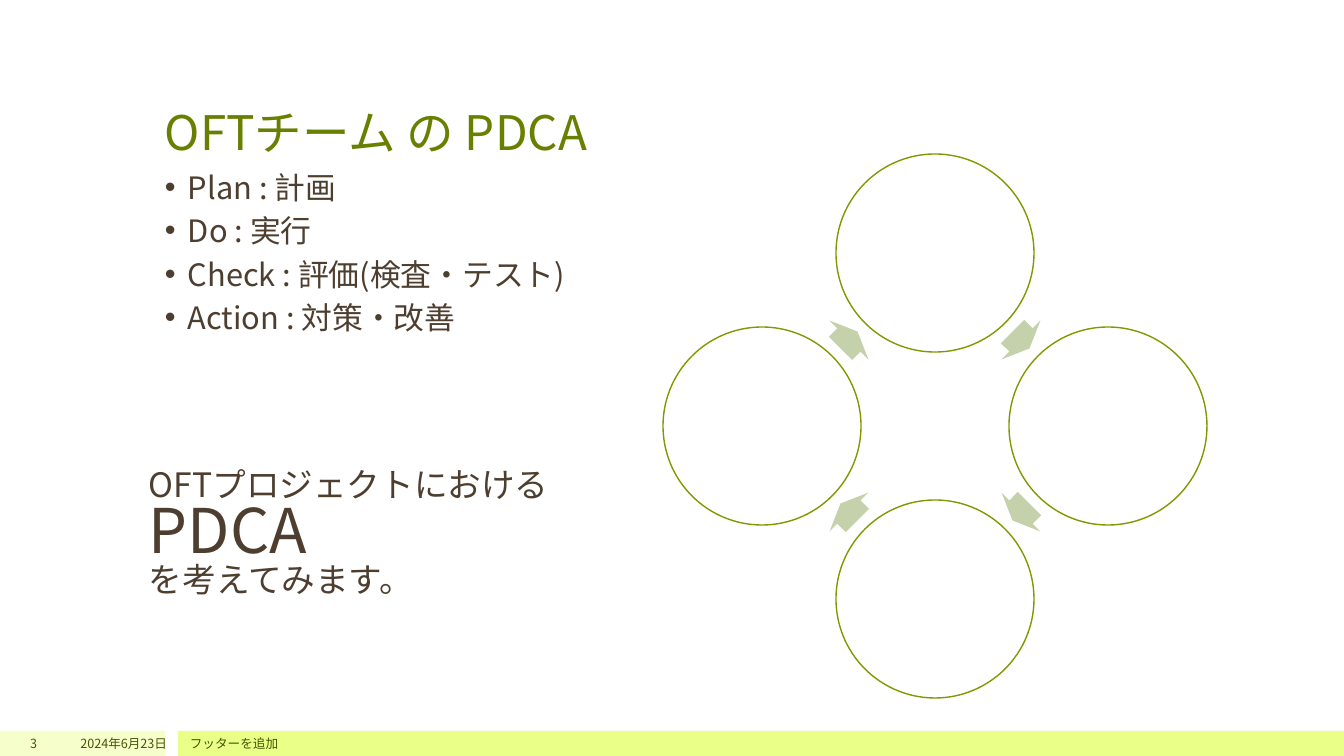
from lxml import etree
from pptx import Presentation, util as u
from pptx.dml.color import RGBColor
from pptx.enum import shapes, text as t
from pptx.oxml.ns import qn

PX = 914400 / 100.8
FONT = "Noto Sans CJK JP"
COLORS = {
    "title": "688000",
    "body": "4D3E2F",
    "footer": "455500",
    "pale_bar": "F6FFCC",
    "bar": "E9FF88",
    "circle": "FFFFFF",
    "outline": "7E9A00",
    "arrow": "C4D1AB",
}

presentation = Presentation()
presentation.slide_width = u.Emu(round(1344 * PX))
presentation.slide_height = u.Emu(round(756 * PX))
slide = presentation.slides.add_slide(presentation.slide_layouts[6])


def add_shape(kind, box, fill, line=None):
    shape = slide.shapes.add_shape(kind, *[round(v * PX) for v in box])
    shape.shadow.inherit = False
    shape.fill.solid()
    shape.fill.fore_color.rgb = RGBColor.from_string(COLORS[fill])
    if line:
        shape.line.color.rgb = RGBColor.from_string(COLORS[line])
        shape.line.width = u.Pt(1)
    else:
        shape.line.fill.background()
    return shape


def add_text(lines, box, sizes, color, anchor=t.MSO_ANCHOR.TOP, align=t.PP_ALIGN.LEFT,
             spacing=1.0, before=0, bullet=None, bottom=5):
    frame = slide.shapes.add_textbox(*[round(v * PX) for v in box]).text_frame
    frame.word_wrap = True
    frame.vertical_anchor = anchor
    frame.margin_bottom = round(bottom * PX)
    for index, (line, size) in enumerate(zip(lines, sizes)):
        paragraph = frame.add_paragraph() if index else frame.paragraphs[0]
        paragraph.alignment = align
        paragraph.line_spacing = spacing
        paragraph.space_before = u.Pt(before)
        if bullet:
            properties = paragraph._p.get_or_add_pPr()
            properties.set("marL", str(round(23 * PX)))
            properties.set("indent", str(round(-23 * PX)))
            etree.SubElement(properties, qn("a:buFont"), typeface="Arial")
            etree.SubElement(properties, qn("a:buChar"), char=bullet)
        run = paragraph.add_run()
        run.text = line
        run.font.size = u.Pt(size)
        run.font.name = FONT
        run.font.color.rgb = RGBColor.from_string(COLORS[color])
        etree.SubElement(run._r.get_or_add_rPr(), qn("a:ea"), typeface=FONT)


FOOTER_TOP, FOOTER_HEIGHT = 731, 25
for left, width, fill in [(0, 165, "pale_bar"), (178, 1166, "bar")]:
    add_shape(shapes.MSO_SHAPE.RECTANGLE, (left, FOOTER_TOP, width, FOOTER_HEIGHT), fill)

add_text(["OFTチーム の PDCA"], (155, 30, 1033, 130), [34], "title",
         anchor=t.MSO_ANCHOR.BOTTOM, bottom=0)
steps = ["Plan : 計画", "Do : 実行", "Check : 評価(検査・テスト)", "Action : 対策・改善"]
add_text(steps, (155, 172, 508, 509), [22] * len(steps), "body",
         spacing=0.76, before=11, bullet="•")

for label, left, width, align in [
    ("3", 0, 47, t.PP_ALIGN.RIGHT),
    ("2024年6月23日", 50, 127, t.PP_ALIGN.RIGHT),
    ("フッターを追加", 180, 1008, t.PP_ALIGN.LEFT),
]:
    add_text([label], (left, FOOTER_TOP, width, FOOTER_HEIGHT), [9], "footer",
             anchor=t.MSO_ANCHOR.MIDDLE, align=align)

CENTER_X, CENTER_Y = 935, 426
ORBIT, DIAMETER = 173, 198
ARROW_OFFSET, ARROW_WIDTH, ARROW_HEIGHT = 86, 24, 55
directions = [(0, -1), (1, 0), (0, 1), (-1, 0)]
for index, (dx, dy) in enumerate(directions):
    next_dx, next_dy = directions[(index + 1) % len(directions)]
    add_shape(shapes.MSO_SHAPE.OVAL,
              (CENTER_X + ORBIT * dx - DIAMETER / 2, CENTER_Y + ORBIT * dy - DIAMETER / 2,
               DIAMETER, DIAMETER), "circle", line="outline")
    arrow = add_shape(shapes.MSO_SHAPE.RIGHT_ARROW,
                      (CENTER_X + ARROW_OFFSET * (dx + next_dx) - ARROW_WIDTH / 2,
                       CENTER_Y + ARROW_OFFSET * (dy + next_dy) - ARROW_HEIGHT / 2,
                       ARROW_WIDTH, ARROW_HEIGHT), "arrow")
    arrow.adjustments[0] = 0.6
    arrow.adjustments[1] = 0.5
    arrow.rotation = 45 + 90 * index

add_text(["OFTプロジェクトにおける", "PDCA", "を考えてみます。"], (139, 465, 441, 166),
         [24, 44, 24], "body", spacing=0.84)

presentation.save("out.pptx")
